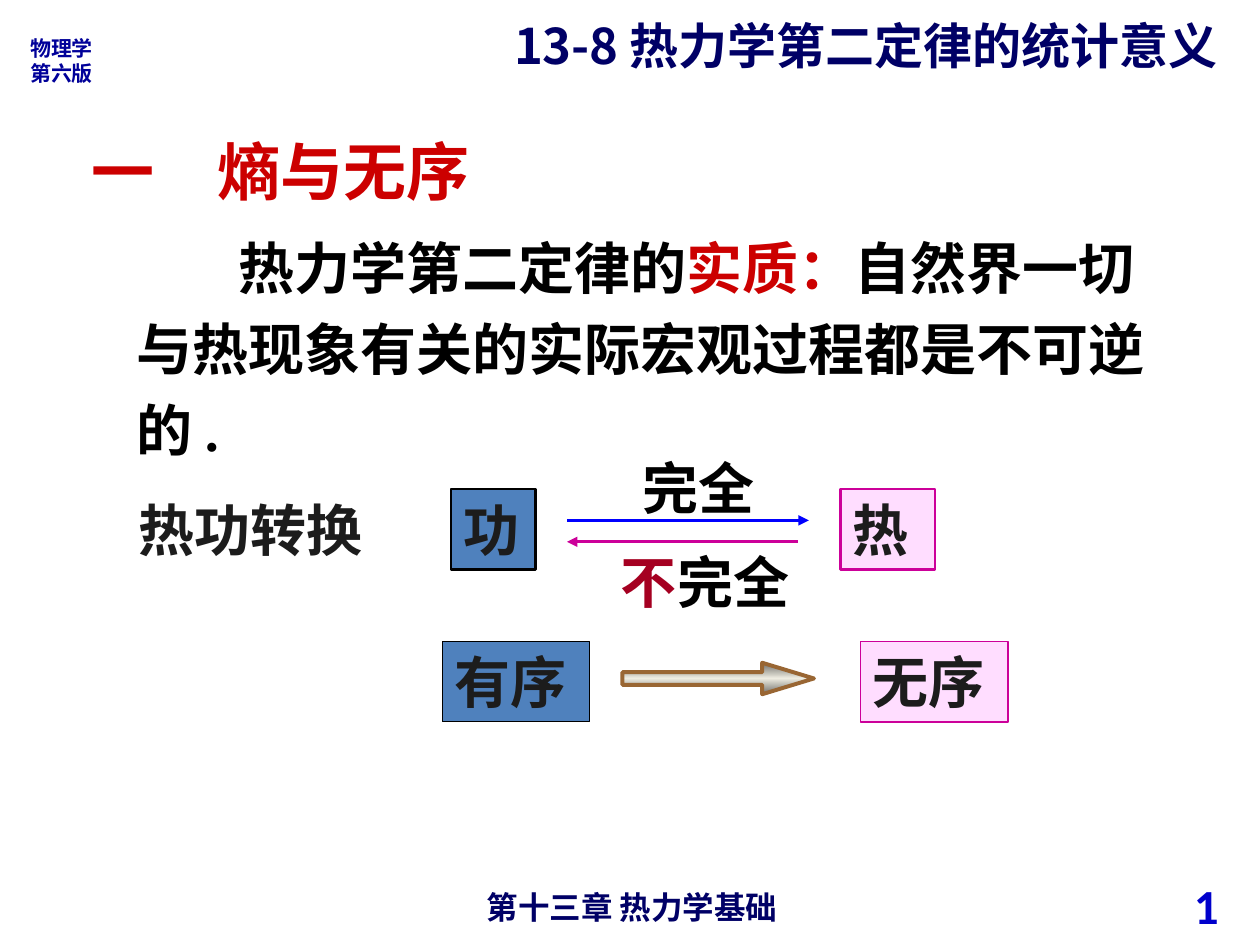
from copy import deepcopy
from lxml import etree
from pptx import Presentation, util as u
from pptx.dml.color import RGBColor
from pptx.enum import shapes, text
from pptx.oxml.ns import qn

# ---- Content ----
COLORS = {"navy": "000066", "edition": "000099", "number": "0000CC", "red": "CC0000",
          "crimson": "A50021", "black": "000000", "ink": "1C1C1C", "blue": "4F81BD",
          "pink": "FFDDFF", "magenta": "CC0099", "arrow": "0000FF", "bronze": "996633",
          "gray": "6E6D68", "cream": "EEECE1"}
CJK, LATIN, SERIF = "Noto Sans CJK SC", "Arial", "Times New Roman"
SECTION = "13-8 热力学第二定律的统计意义"
HEADING = "一\t熵与无序"
STATEMENT = [("热力学第二定律的", "black", LATIN), ("实质", "red", LATIN), ("：", "red", CJK),
             ("自然界一切与热现象有关的实际宏观过程都是不可逆的 ", "black", LATIN),
             (".", "black", SERIF)]

# Rows of the diagram (inches): energy conversion, then order to disorder
CONVERSION, ORDER = 3.88, 5.09
MIDDLE = CONVERSION + 0.33
ROW_H = 0.64
# label, left, row, width, fill, line, line width
BOXES = [("无序", 6.83, ORDER, 1.17, "pink", "magenta", 0.75),
         ("有序", 3.51, ORDER, 1.17, "blue", "black", 0.5),
         ("功", 3.58, CONVERSION, 0.67, "blue", "black", 1.5),
         ("热", 6.67, CONVERSION, 0.75, "pink", "magenta", 1.5)]
# runs, left, top, width
LABELS = [([("热功转换", "ink", LATIN)], 1.0, CONVERSION, 2.44),
          ([("完全", "black", LATIN)], 5.0, CONVERSION - 0.33, 1.5),
          ([("不", "crimson", LATIN), ("完全", "black", LATIN)], 4.83, MIDDLE + 0.09, 1.99)]
# start, end, height, colour
ARROWS = [(4.5, 6.42, MIDDLE - 0.08, "arrow"), (6.33, 4.5, MIDDLE + 0.09, "magenta")]


# ---- Helpers ----
def rgb(name):
    return RGBColor.from_string(COLORS[name])


def style(font, size, color, face):
    font.size, font.bold, font.name = u.Pt(size), True, face
    font.color.rgb = rgb(color)


def place(shape, left, top, width, height):
    shape.left, shape.top, shape.width, shape.height = map(u.Inches, (left, top, width, height))


def write(shape, lines, size, color, face, align=text.PP_ALIGN.LEFT,
          anchor=text.MSO_ANCHOR.TOP):
    frame = shape.text_frame
    frame.word_wrap, frame.auto_size = True, text.MSO_AUTO_SIZE.NONE
    frame.vertical_anchor = anchor
    frame.text = "\n".join(lines)
    for paragraph in frame.paragraphs:
        paragraph.alignment = align
        style(paragraph.font, size, color, face)
    return frame


def write_runs(paragraph, runs):
    for words, color, face in runs:
        run = paragraph.add_run()
        run.text = words
        style(run.font, 32, color, face)


def text_box(*area):
    return slide.shapes.add_textbox(*map(u.Inches, area))


def outline(shape, color, width):
    shape.line.color.rgb, shape.line.width = rgb(color), u.Pt(width)


prs = Presentation()
prs.slide_width, prs.slide_height = u.Inches(10), u.Inches(7.5)
slide = prs.slides.add_slide(prs.slide_layouts[1])

# ---- Header and footer ----
title, body = slide.placeholders
place(title, 3.98, 0.07, 6.06, 1.04)
write(title, [SECTION], 28, "navy", CJK)
write(text_box(0.14, 0.23, 0.72, 0.5), ["物理学", "第六版"], 12, "edition", CJK)
write(text_box(3.43, 7, 3.17, 0.29), ["第十三章 热力学基础"], 18, "navy", CJK,
      text.PP_ALIGN.CENTER)
number = write(text_box(7.44, 6.98, 2.33, 0.4), ["1"], 28, "number", "Calibri",
               text.PP_ALIGN.RIGHT, text.MSO_ANCHOR.MIDDLE)
digit = number.paragraphs[0].runs[0]._r
digit.tag = qn("a:fld")
digit.set("id", "{B6F15528-21DE-4FAA-801E-634DDDAF4B2B}")
digit.set("type", "slidenum")

# ---- Heading and statement ----
heading = text_box(0.63, 1, 5, 0.7)
heading_props = heading.text_frame.paragraphs[0]._p.get_or_add_pPr()
tabs = etree.SubElement(heading_props, qn("a:tabLst"))
etree.SubElement(tabs, qn("a:tab"), pos=str(u.Inches(0.83)), algn="l")
write(heading, [HEADING], 36, "red", SERIF)

place(body, 0.98, 1.7, 8.3, 2.02)
body.text_frame.auto_size = text.MSO_AUTO_SIZE.NONE
statement = body.text_frame.paragraphs[0]
props = statement._p.get_or_add_pPr()
props.set("marL", "0")
props.set("indent", str(u.Inches(0.81)))
etree.SubElement(props, qn("a:buNone"))
statement.line_spacing, statement.space_before = 1.2, u.Pt(0)
write_runs(statement, STATEMENT)

# ---- Diagram boxes and labels ----
for label, left, top, width, fill, line, line_width in BOXES:
    box = slide.shapes.add_shape(shapes.MSO_SHAPE.RECTANGLE,
                                 *map(u.Inches, (left, top, width, ROW_H)))
    box.shadow.inherit = False
    box.fill.solid()
    box.fill.fore_color.rgb = rgb(fill)
    outline(box, line, line_width)
    write(box, [label], 32, "ink", LATIN)

for runs, left, top, width in LABELS:
    frame = text_box(left, top, width, ROW_H).text_frame
    frame.word_wrap = True
    write_runs(frame.paragraphs[0], runs)

# ---- Conversion arrows ----
for start, end, height, color in ARROWS:
    arrow = slide.shapes.add_connector(shapes.MSO_CONNECTOR.STRAIGHT,
                                       *map(u.Inches, (start, height, end, height)))
    outline(arrow, color, 1.5)
    etree.SubElement(arrow.line._get_or_add_ln(), qn("a:tailEnd"), type="triangle")
    etree.SubElement(arrow._element.spPr, qn("a:effectLst"))

# ---- Block arrow from order to disorder ----
block = slide.shapes.add_shape(shapes.MSO_SHAPE.RIGHT_ARROW,
                               *map(u.Inches, (4.94, ORDER + 0.17, 1.52, 0.25)))
block.shadow.inherit = False
block.adjustments[0], block.adjustments[1] = 0.403, 1.644
block.fill.gradient()
block.fill.gradient_angle = 90
stop_list = block._element.spPr.find(qn("a:gradFill")).find(qn("a:gsLst"))
stop_list.insert(1, deepcopy(stop_list[0]))
for stop, color, position in zip(block.fill.gradient_stops, ("gray", "cream", "gray"), (0, 0.5, 1)):
    stop.color.rgb, stop.position = rgb(color), position
outline(block, "bronze", 2.25)

prs.save("out.pptx")
